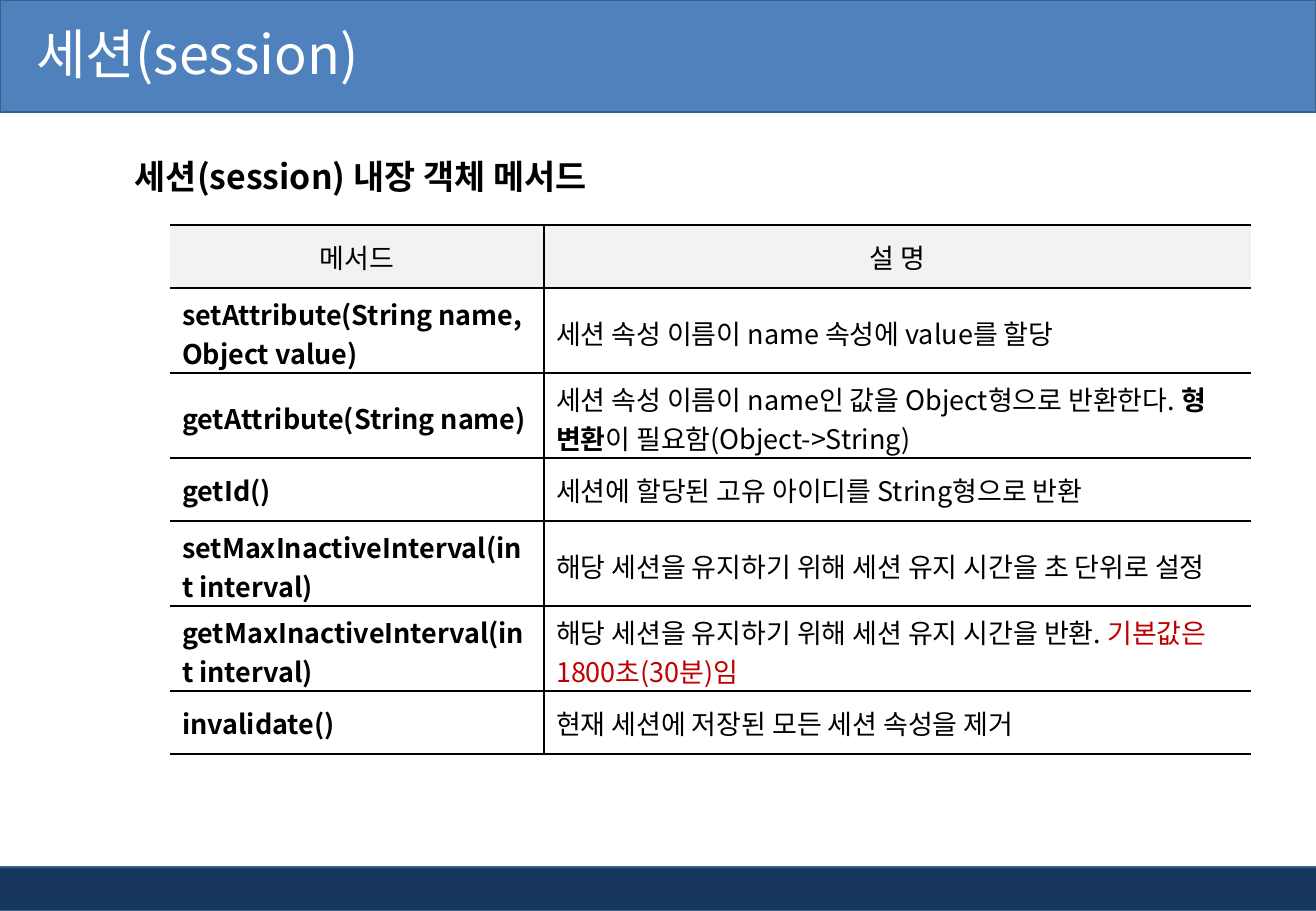
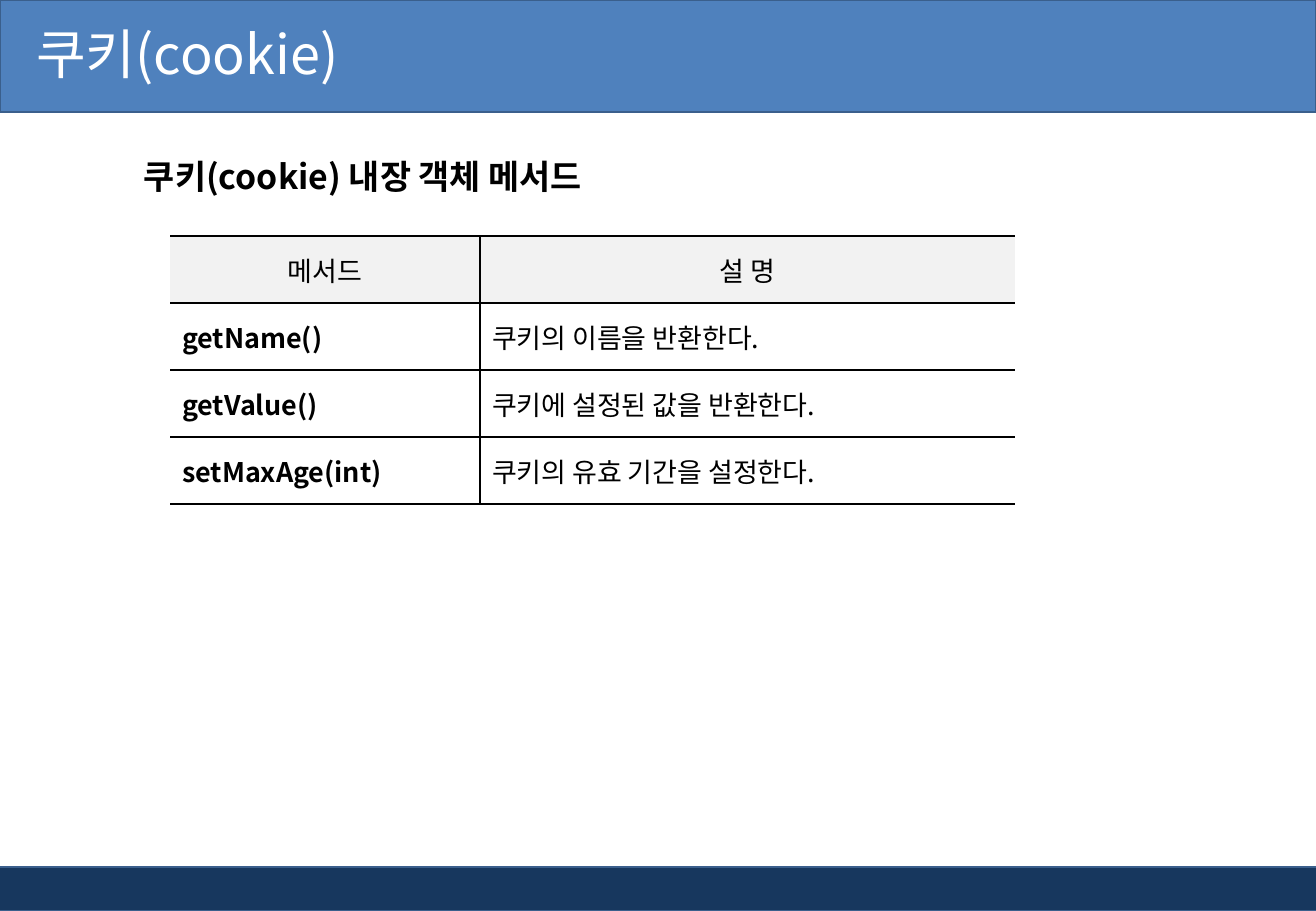
from lxml import etree
from pptx import Presentation
from pptx import util as u
from pptx.dml.color import RGBColor
from pptx.enum import shapes, text
from pptx.oxml import ns

PX = 914400 / 121.5
FONT = "Noto Sans CJK KR"
BLACK, WHITE, RED = "000000", "FFFFFF", "C00000"
HEAD_FILL, BAND, FOOTER, EDGE = "F2F2F2", "4F81BD", "17375E", "3A5F8C"
NO_GRID = "{2D5ABB26-0587-4C30-8999-92F81FD0307C}"
ONE_LINE, TWO_LINES, COOKIE_ROW = 63, 85, 67


def px(*lengths):
    return [u.Emu(round(n * PX)) for n in lengths]


def add_run(p, words, size, color=BLACK, bold=False):
    r = p.add_run()
    r.text = words
    r.font.size, r.font.bold, r.font.name = u.Pt(size), bold, FONT
    r.font.color.rgb = RGBColor.from_string(color)
    etree.SubElement(r.font._element, ns.qn("a:ea"), typeface=FONT)


# Content: each row is height, method, runs of the description
slides = [
    dict(
        title="세션(session)", heading="세션(session) 내장 객체 메서드",
        heading_at=(123, 130, 756, 74), table_at=(170, 225), cols=(374, 707),
        head_height=ONE_LINE,
        rows=[
            (TWO_LINES, "setAttribute(String name, Object value)",
             [("세션 속성 이름이 name 속성에 value를 할당",)]),
            (TWO_LINES, "getAttribute(String name)",
             [("세션 속성 이름이 name인 값을 Object형으로 반환한다. ",),
              ("형 변환", BLACK, True), ("이 필요함(Object->String)",)]),
            (ONE_LINE, "getId()",
             [("세션에 할당된 고유 아이디를 String형으로 반환",)]),
            (TWO_LINES, "setMaxInactiveInterval(int interval)",
             [("해당 세션을 유지하기 위해 세션 유지 시간을 초 단위로 설정",)]),
            (TWO_LINES, "getMaxInactiveInterval(int interval)",
             [("해당 세션을 유지하기 위해 세션 유지 시간을 반환. ",),
              ("기본값은 1800초(30분)임", RED)]),
            (ONE_LINE, "invalidate()",
             [("현재 세션에 저장된 모든 세션 속성을 제거",)]),
        ]),
    dict(
        title="쿠키(cookie)", heading="쿠키(cookie) 내장 객체 메서드",
        heading_at=(132, 130, 871, 74), table_at=(170, 236), cols=(310, 535),
        head_height=COOKIE_ROW,
        rows=[
            (COOKIE_ROW, "getName()", [("쿠키의 이름을 반환한다.",)]),
            (COOKIE_ROW, "getValue()", [("쿠키에 설정된 값을 반환한다.",)]),
            (COOKIE_ROW, "setMaxAge(int)", [("쿠키의 유효 기간을 설정한다.",)]),
        ]),
]

prs = Presentation()
prs.slide_width, prs.slide_height = px(1316, 911)
layout = prs.slide_layouts[6]

for number, content in enumerate(slides):
    s = prs.slides.add_slide(layout)

    # Bands, drawn once and moved to the shared layout
    if number == 0:
        for box, fill in (((-5, 867, 1322, 44), FOOTER), ((0, 0, 1316, 112), BAND)):
            sp = s.shapes.add_shape(shapes.MSO_SHAPE.RECTANGLE, *px(*box))
            sp.shadow.inherit = False
            sp.fill.solid()
            sp.fill.fore_color.rgb = RGBColor.from_string(fill)
            sp.line.color.rgb = RGBColor.from_string(EDGE)
            sp.line.width = u.Pt(1)
            layout.shapes.element.append(sp.element)

    # Title
    tf = s.shapes.add_textbox(*px(0, -4, 1062, 114)).text_frame
    tf.word_wrap = True
    tf.vertical_anchor = text.MSO_ANCHOR.MIDDLE
    tf.margin_left = px(36)[0]
    add_run(tf.paragraphs[0], content["title"], 32, WHITE)

    # Heading
    tf = s.shapes.add_textbox(*px(*content["heading_at"])).text_frame
    tf.word_wrap = True
    tf.auto_size = text.MSO_AUTO_SIZE.SHAPE_TO_FIT_TEXT
    tf.paragraphs[0].line_spacing = 1.5
    add_run(tf.paragraphs[0], content["heading"], 20, BLACK, True)

    # Method table
    rows = [(content["head_height"], "메서드", [("설 명",)])] + content["rows"]
    size = sum(content["cols"]), sum(row[0] for row in rows)
    tbl = s.shapes.add_table(len(rows), 2, *px(*content["table_at"], *size)).table
    tbl.first_row = tbl.horz_banding = False
    tbl._tbl.tblPr.find(ns.qn("a:tableStyleId")).text = NO_GRID
    for col, width in zip(tbl.columns, px(*content["cols"])):
        col.width = width
    for i, (height, method, description) in enumerate(rows):
        tbl.rows[i].height = px(height)[0]
        for j, runs in enumerate(([(method, BLACK, i > 0)], description)):
            cell = tbl.cell(i, j)
            cell.vertical_anchor = text.MSO_ANCHOR.MIDDLE
            cell.margin_top, cell.margin_bottom = px(6, 1 if height == TWO_LINES else 6)
            p = cell.text_frame.paragraphs[0]
            p.alignment = text.PP_ALIGN.LEFT if i else text.PP_ALIGN.CENTER
            for run in runs:
                add_run(p, run[0], 16, *run[1:])

            # Rules above, below and between the columns
            for side in ("lnR" if j == 0 else "lnL", "lnT", "lnB"):
                ln = etree.SubElement(cell._tc.get_or_add_tcPr(), ns.qn("a:" + side),
                                      w=str(u.Pt(1)))
                fill = etree.SubElement(ln, ns.qn("a:solidFill"))
                etree.SubElement(fill, ns.qn("a:srgbClr"), val=BLACK)
            if i == 0:
                cell.fill.solid()
                cell.fill.fore_color.rgb = RGBColor.from_string(HEAD_FILL)
            else:
                cell.fill.background()

prs.save("out.pptx")
